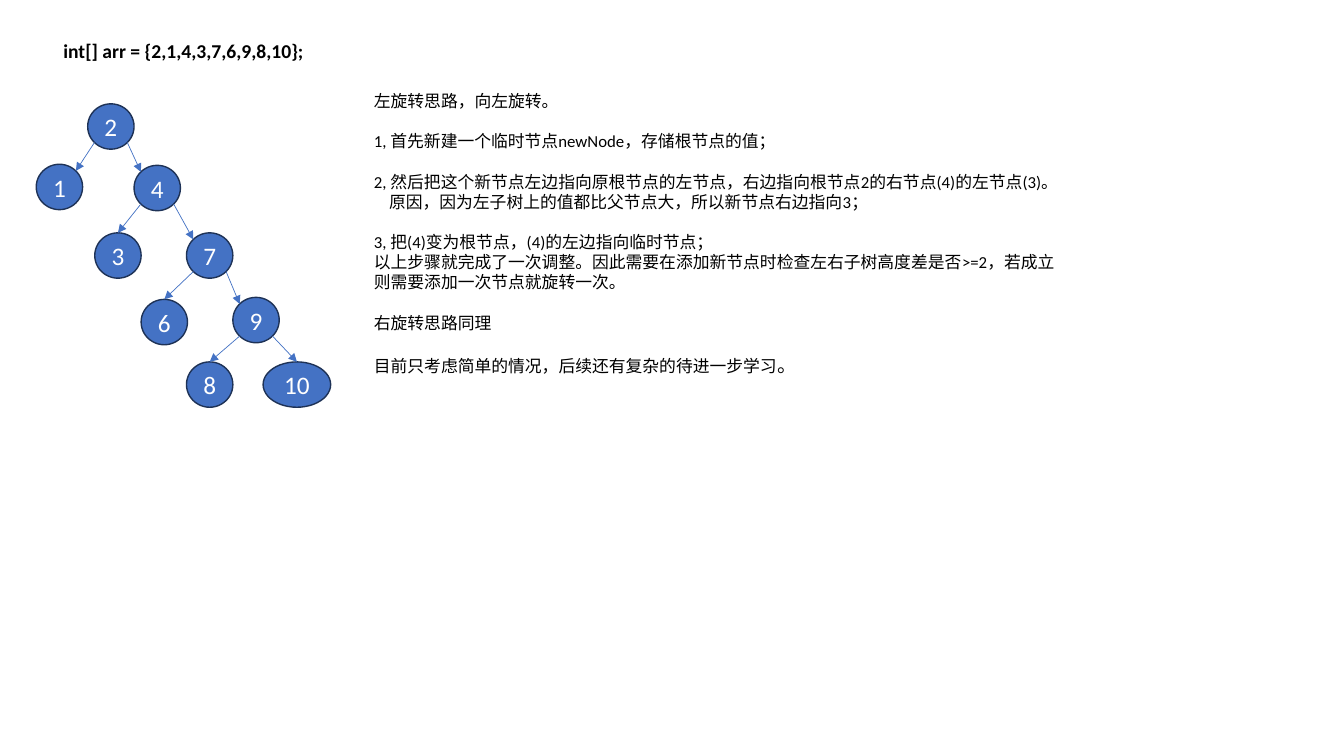
from math import sqrt

from lxml.etree import SubElement
from pptx import Presentation
from pptx.dml.color import RGBColor
from pptx.enum.shapes import MSO_CONNECTOR as CONN, MSO_SHAPE as SHAPE
from pptx.enum.text import MSO_ANCHOR as ANCHOR, PP_ALIGN as ALIGN
from pptx.oxml.ns import qn
from pptx.util import Inches, Pt

BLUE = RGBColor(0x44, 0x72, 0xC4)
NAVY = RGBColor(0x1E, 0x32, 0x56)
WHITE = RGBColor(0xFF, 0xFF, 0xFF)
BLACK = RGBColor(0x00, 0x00, 0x00)

NODES = {
    2: (0.87, 1.03), 1: (0.36, 1.63), 4: (1.33, 1.64), 3: (0.94, 2.31),
    7: (1.85, 2.31), 6: (1.4, 2.97), 9: (2.31, 2.95), 8: (1.85, 3.59),
    10: (2.61, 3.59),
}
CORNER, TOP = "corner", "top"
EDGES = [
    (2, 1, CORNER), (2, 4, CORNER), (4, 3, TOP), (4, 7, CORNER),
    (7, 6, TOP), (7, 9, CORNER), (9, 8, TOP), (9, 10, TOP),
]
GAP = 14.4
NOTES = [
    (["左旋转思路，向左旋转。"], 0, 0),
    (["1, 首先新建一个临时节点newNode，存储根节点的值；"], GAP, 0),
    (["2, 然后把这个新节点左边指向原根节点的左节点，右边指向根节点2的右节点(4)的左节点(3)。"], GAP, 0),
    (["原因，因为左子树上的值都比父节点大，所以新节点右边指向3；"], 0, 0.15),
    (["3, 把(4)变为根节点，(4)的左边指向临时节点；"], GAP, 0),
    (["以上步骤就完成了一次调整。因此需要在添加新节点时检查左右子树高度差是否>=2，若成立"], 0, 0),
    (["则需要添加一次节点就旋转一次。"], 0, 0),
    (["右旋转思路同理"], GAP, 0),
    (["目前只考虑简单的情况，后续还有复杂的待进一步学习", "。"], GAP, 0),
]


class TreeSlide:
    """Draws tree nodes, arrows and notes in one style on one slide."""

    font = "Calibri"

    def __init__(self, prs):
        self.s = prs.slides.add_slide(prs.slide_layouts[6])

    def style(self, p, size, color, bold=False):
        f = p.font
        f.name, f.size, f.bold = self.font, Pt(size), bold
        f.color.rgb = color

    def node(self, value, x, y):
        width = 0.67 if value > 9 else 0.46
        sp = self.s.shapes.add_shape(
            SHAPE.OVAL, Inches(x), Inches(y), Inches(width), Inches(0.45))
        sp.shadow.inherit = False
        sp.fill.solid()
        sp.fill.fore_color.rgb = BLUE
        sp.line.color.rgb = NAVY
        sp.line.width = Pt(1)
        tf = sp.text_frame
        tf.margin_left = tf.margin_right = 0
        tf.vertical_anchor = ANCHOR.MIDDLE
        p = tf.paragraphs[0]
        p.text = str(value)
        p.alignment = ALIGN.CENTER
        self.style(p, 18, WHITE)
        return sp

    def rim(self, sp, side, level):
        """Return the point on the diagonal of an oval."""
        return (int(sp.left + sp.width / 2 * (1 + side / sqrt(2))),
                int(sp.top + sp.height / 2 * (1 + level / sqrt(2))))

    def arrow(self, parent, child, target):
        middle = child.left + child.width // 2
        side = 1 if middle > parent.left + parent.width // 2 else -1
        start = self.rim(parent, side, 1)
        end = self.rim(child, -side, -1)
        c = self.s.shapes.add_connector(CONN.STRAIGHT, *start, *end)
        if target == TOP:
            c.end_connect(child, 0)
        c.line.color.rgb = BLUE
        c.line.width = Pt(0.5)
        SubElement(c.line._get_or_add_ln(), qn("a:tailEnd"), type="triangle")
        SubElement(c._element.spPr, qn("a:effectLst"))

    def text_box(self, x, y, w, h):
        tb = self.s.shapes.add_textbox(Inches(x), Inches(y), Inches(w), Inches(h))
        tb.text_frame.word_wrap = True
        return tb.text_frame

    def title(self, text):
        p = self.text_box(0.53, 0.34, 3.23, 0.34).paragraphs[0]
        p.text = text
        self.style(p, 14, BLACK, bold=True)

    def notes(self, items):
        tf = self.text_box(3.61, 0.85, 7.08, 2.96)
        for i, (runs, before, indent) in enumerate(items):
            p = tf.add_paragraph() if i else tf.paragraphs[0]
            p.space_before = Pt(before)
            if indent:
                p._p.get_or_add_pPr().set("marL", str(Inches(indent)))
            for text in runs:
                r = p.add_run()
                r.text = text
            self.style(p, 12, BLACK)
            if len(runs) > 1:
                r.font.size = Pt(14)


def main():
    prs = Presentation()
    prs.slide_width, prs.slide_height = Inches(13.33), Inches(7.5)
    slide = TreeSlide(prs)
    slide.title("int[] arr = {2,1,4,3,7,6,9,8,10};")
    nodes = {value: slide.node(value, *at) for value, at in NODES.items()}
    for parent, child, target in EDGES:
        slide.arrow(nodes[parent], nodes[child], target)
    slide.notes(NOTES)
    prs.save("out.pptx")


if __name__ == "__main__":
    main()
